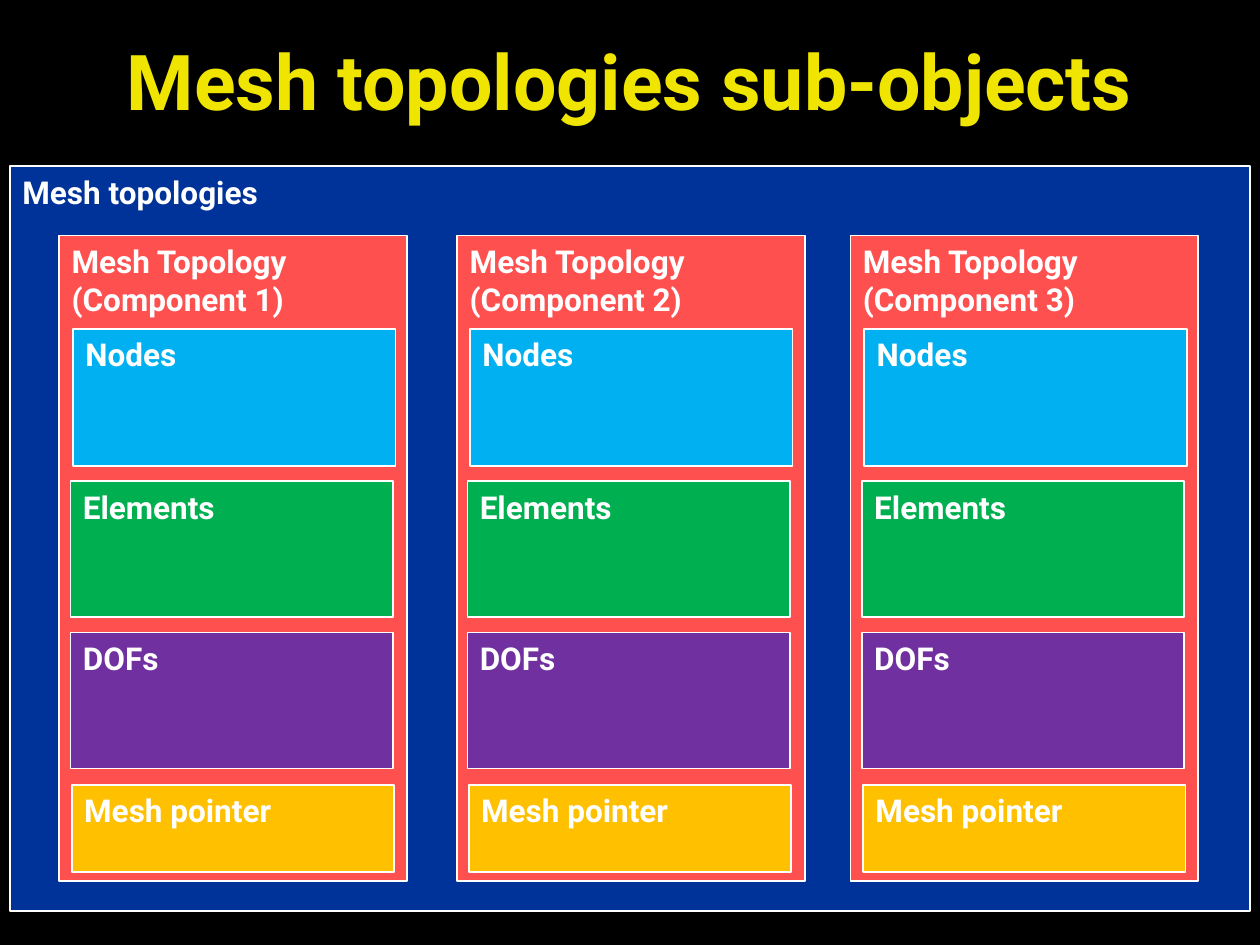
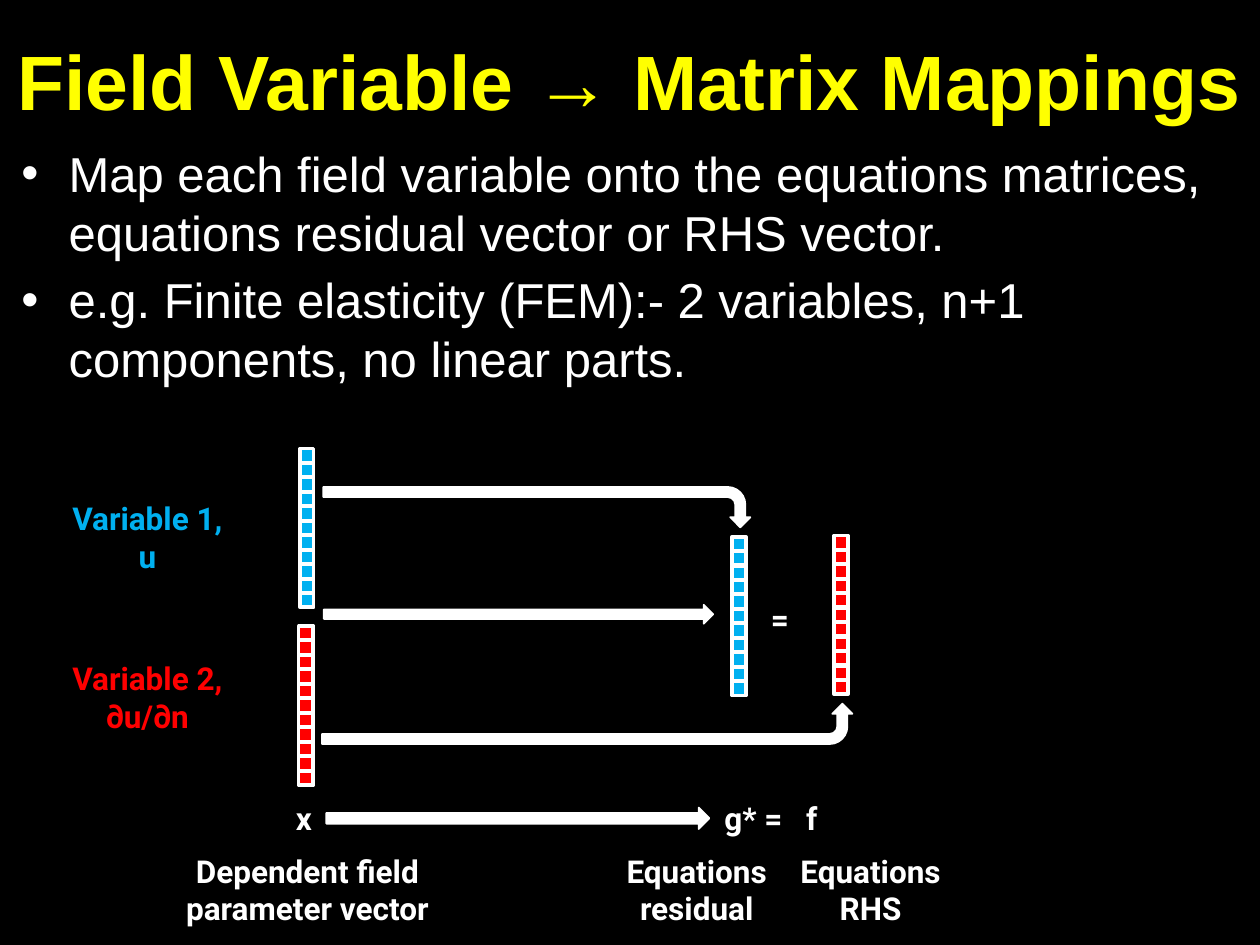
import dataclasses

import pptx
import pptx.dml.color
import pptx.enum.shapes
import pptx.enum.text
import pptx.oxml.ns
import pptx.util

Inches = pptx.util.Inches
Pt = pptx.util.Pt
SHAPE = pptx.enum.shapes.MSO_SHAPE
ALIGN = pptx.enum.text.PP_ALIGN
ANCHOR = pptx.enum.text.MSO_ANCHOR


@dataclasses.dataclass(frozen=True)
class Theme:
    """Colours, fonts and type sizes of the deck."""

    black: str = "000000"
    white: str = "FFFFFF"
    title_gold: str = "F0E500"
    title_yellow: str = "FFFF00"
    navy: str = "003399"
    coral: str = "FF5050"
    cyan: str = "00B0F0"
    green: str = "00B050"
    purple: str = "7030A0"
    amber: str = "FFC000"
    red: str = "FF0000"
    label_font: str = "Roboto"
    body_font: str = "Arial"
    title_size: int = 44
    body_size: int = 28
    label_size: int = 18
    leading: float = 1.2


T = Theme()


def rgb(value):
    """Turn a hex string into a colour."""
    return pptx.dml.color.RGBColor.from_string(value)


def write(tf, text, size=T.label_size, font=T.label_font, color=T.white, bold=True,
          align=None, anchor=ANCHOR.TOP, gap=0):
    """Fill a text frame with one formatted paragraph per line of text."""
    tf.word_wrap = True
    tf.auto_size = pptx.enum.text.MSO_AUTO_SIZE.NONE
    tf.vertical_anchor = anchor
    for i, line in enumerate(text.split("\n")):
        p = tf.paragraphs[0] if i == 0 else tf.add_paragraph()
        p.alignment = align
        p.line_spacing = Pt(size * T.leading)
        p.space_before = Pt(gap if i else 0)
        r = p.add_run()
        r.text = line
        r.font.size = Pt(size)
        r.font.name = font
        r.font.bold = bold
        r.font.color.rgb = rgb(color)


def place(s, left, top, width, height):
    """Move and size a shape, in inches."""
    s.left, s.top = Inches(left), Inches(top)
    s.width, s.height = Inches(width), Inches(height)


def add_slide(prs, layout, title, color, font):
    """Add a slide with the shared title style."""
    slide = prs.slides.add_slide(prs.slide_layouts[layout])
    place(slide.shapes.title, 0, 0.01, 10, 1.25)
    write(slide.shapes.title.text_frame, title, size=T.title_size, font=font, color=color,
          align=ALIGN.CENTER, anchor=ANCHOR.MIDDLE)
    return slide


def add_shape(shapes, kind, left, top, width, height, fill, line=1):
    """Add a preset shape with a white outline and an optional fill."""
    s = shapes.add_shape(kind, Inches(left), Inches(top), Inches(width), Inches(height))
    s.shadow.inherit = False
    if fill:
        s.fill.solid()
        s.fill.fore_color.rgb = rgb(fill)
    else:
        s.fill.background()
    s.line.color.rgb = rgb(T.white)
    s.line.width = Pt(line)
    return s


def add_box(slide, text, left, top, width, height, fill):
    """Add a rectangle labelled at its top left."""
    s = add_shape(slide.shapes, SHAPE.RECTANGLE, left, top, width, height, fill)
    write(s.text_frame, text, align=ALIGN.LEFT)


def add_label(slide, text, left, top, width, height=0.71, **style):
    """Add a free-standing text label."""
    s = slide.shapes.add_textbox(Inches(left), Inches(top), Inches(width), Inches(height))
    write(s.text_frame, text, **style)
    return s


def add_vector(slide, left, top, fill, cells=11, length=1.26, side=0.11):
    """Add a column of evenly spaced small cells as one group."""
    group = slide.shapes.add_group_shape()
    pitch = (length - side) / (cells - 1)
    for i in range(cells):
        add_shape(group.shapes, SHAPE.RECTANGLE, left, top + i * pitch, side, side, fill, line=2)


def add_bent_arrow(slide, left, top, width, height, rotation, flip=False):
    """Add a white bent arrow, turned and optionally flipped."""
    s = add_shape(slide.shapes, SHAPE.BENT_ARROW, left, top, width, height, T.white)
    for i, value in enumerate((0.25, 0.25, 0.25, 0.438)):
        s.adjustments[i] = value
    s.rotation = rotation
    if flip:
        s._element.spPr.find(pptx.oxml.ns.qn("a:xfrm")).set("flipV", "1")


def add_tab(p, position):
    """Give a paragraph a left tab stop."""
    props = p._p.get_or_add_pPr()
    tabs = props.makeelement(pptx.oxml.ns.qn("a:tabLst"), {})
    tab = tabs.makeelement(pptx.oxml.ns.qn("a:tab"), {"pos": str(Inches(position)), "algn": "l"})
    tabs.append(tab)
    props.append(tabs)


def build_topologies(prs):
    """Build the slide of nested mesh topology objects."""
    slide = add_slide(prs, 5, "Mesh topologies sub-objects", T.title_gold, T.label_font)
    add_box(slide, "Mesh topologies", 0.08, 1.32, 9.84, 5.91, T.navy)
    parts = (
        ("Nodes", 0.02, 2.61, 1.09, T.cyan),
        ("Elements", 0, 3.82, 1.08, T.green),
        ("DOFs", 0, 5.02, 1.08, T.purple),
        ("Mesh pointer", 0.01, 6.23, 0.69, T.amber),
    )
    columns = ((0.47, 0.56), (3.63, 3.71), (6.75, 6.84))
    for number, (left, part_left) in enumerate(columns, start=1):
        add_box(slide, f"Mesh Topology (Component {number})", left, 1.87, 2.76, 5.12, T.coral)
        for text, offset, top, height, fill in parts:
            add_box(slide, text, part_left + offset, top, 2.56, height, fill)


def build_mappings(prs):
    """Build the slide that maps field variables to vectors."""
    slide = add_slide(prs, 1, "Field Variable → Matrix Mappings", T.title_yellow, T.body_font)
    body = slide.placeholders[1]
    place(body, 0.07, 1.09, 9.87, 2.42)
    write(body.text_frame,
          "Map each field variable onto the equations matrices, equations residual vector "
          "or RHS vector.\n"
          "e.g. Finite elasticity (FEM):- 2 variables, n+1 components, no linear parts.",
          size=T.body_size, font=T.body_font, bold=False, gap=5)

    for left, top, fill in ((2.38, 4.97, None), (2.37, 4.97, T.red), (2.38, 3.56, T.cyan),
                            (6.62, 4.25, T.red), (5.81, 4.26, T.cyan)):
        add_vector(slide, left, top, fill)

    add_bent_arrow(slide, 4.1, 2.33, 0.32, 3.39, 90)
    add_bent_arrow(slide, 4.5, 3.64, 0.32, 4.21, 270, flip=True)
    for left, top, width, height in ((2.57, 4.8, 3.09, 0.15), (2.59, 6.41, 3.04, 0.17)):
        add_shape(slide.shapes, SHAPE.RIGHT_ARROW, left, top, width, height, T.white)

    for text, left, top, width, color in (
        ("Variable 1,\nu", 0.39, 3.91, 1.56, T.cyan),
        ("Variable 2,\n∂u/∂n", 0.39, 5.18, 1.56, T.red),
        ("Dependent field\nparameter vector", 1.24, 6.71, 2.4, T.white),
        ("Equations\nresidual", 4.8, 6.71, 1.46, T.white),
        ("Equations\nRHS", 6.18, 6.71, 1.46, T.white),
    ):
        add_label(slide, text, left, top, width, color=color, align=ALIGN.CENTER)

    add_label(slide, "=", 6.02, 4.71, 0.41, 0.4)
    add_label(slide, "x", 2.25, 6.29, 0.35, 0.4)
    equation = add_label(slide, "g* =\tf", 5.65, 6.29, 1.12, 0.4)
    add_tab(equation.text_frame.paragraphs[0], 0.65)


def main():
    """Build and save the deck."""
    prs = pptx.Presentation()
    prs.slide_width, prs.slide_height = Inches(10), Inches(7.5)
    fill = prs.slide_master.background.fill
    fill.solid()
    fill.fore_color.rgb = rgb(T.black)
    build_topologies(prs)
    build_mappings(prs)
    prs.save("out.pptx")


if __name__ == "__main__":
    main()
